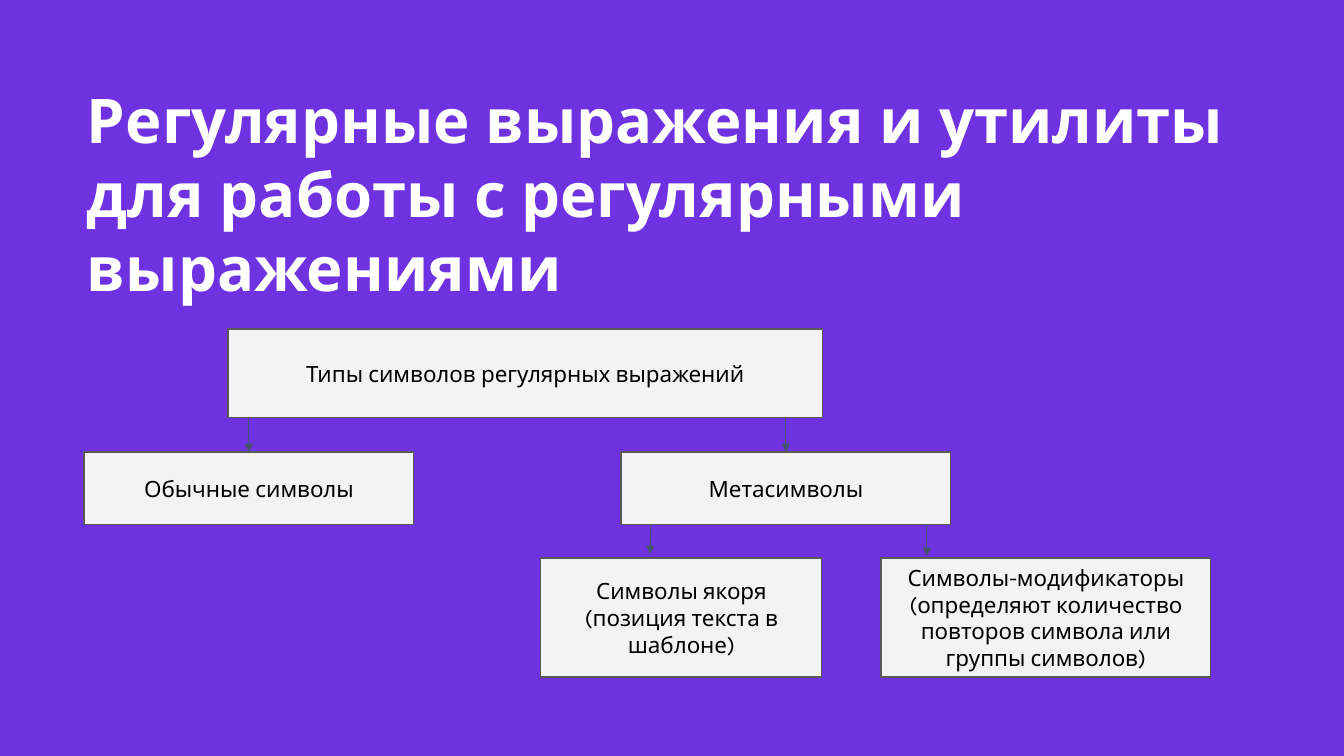
from lxml.etree import SubElement
from pptx import Presentation
from pptx.dml.color import RGBColor
from pptx.enum.shapes import MSO_CONNECTOR, MSO_SHAPE
from pptx.enum.text import MSO_ANCHOR, MSO_AUTO_SIZE, PP_ALIGN
from pptx.oxml.ns import qn
from pptx.util import Pt

PX = 914400 / 100.8


def px(*lengths):
    """Turn lengths in px into EMU."""
    return [round(n * PX) for n in lengths]


def write(sp, text, size, color, bold=False, align=PP_ALIGN.LEFT,
          anchor=MSO_ANCHOR.TOP, pad=5):
    tf = sp.text_frame
    tf.word_wrap = True
    tf.auto_size = MSO_AUTO_SIZE.NONE
    tf.vertical_anchor = anchor
    tf.margin_left, tf.margin_right, tf.margin_top, tf.margin_bottom = px(10, 10, pad, pad)
    p = tf.paragraphs[0]
    p.alignment = align
    r = p.add_run()
    r.text = text
    r.font.name = "Karla"
    r.font.size = Pt(size)
    r.font.bold = bold
    r.font.color.rgb = RGBColor.from_string(color)


prs = Presentation()
prs.slide_width, prs.slide_height = px(1344, 756)
slide = prs.slides.add_slide(prs.slide_layouts[5])
slide.background.fill.solid()
slide.background.fill.fore_color.rgb = RGBColor.from_string("6E32E0")

title = slide.shapes.title
title.left, title.top, title.width, title.height = px(77, 77, 1191, 106)
write(title, "Регулярные выражения и утилиты для работы с регулярными выражениями",
      44, "FFFFFF", bold=True)

boxes = [
    ("Типы символов регулярных выражений", 228, 329, 595, 89),
    ("Обычные символы", 84, 452, 330, 73),
    ("Метасимволы", 621, 452, 330, 73),
    ("Символы якоря (позиция текста в шаблоне)", 541, 558, 281, 119),
    ("Символы-модификаторы (определяют количество повторов символа или группы символов)",
     881, 558, 330, 119),
]
nodes = {}
for text, *place in boxes:
    sp = slide.shapes.add_shape(MSO_SHAPE.RECTANGLE, *px(*place))
    sp.shadow.inherit = False
    sp.fill.solid()
    sp.fill.fore_color.rgb = RGBColor.from_string("F3F3F3")
    sp.line.color.rgb = RGBColor.from_string("595959")
    sp.line.width = Pt(0.75)
    write(sp, text, 16, "000000", align=PP_ALIGN.CENTER, anchor=MSO_ANCHOR.MIDDLE, pad=10)
    nodes[text] = sp

# Start and end points, and the box whose top middle the arrow joins
arrows = [
    (249, 418, 249, 452, "Обычные символы"),
    (786, 418, 786, 452, "Метасимволы"),
    (651, 525, 650, 554, None),
    (927, 525, 927, 556, None),
]
for *ends, target in arrows:
    arrow = slide.shapes.add_connector(MSO_CONNECTOR.STRAIGHT, *px(*ends))
    if target:
        arrow.end_connect(nodes[target], 0)
    arrow.line.color.rgb = RGBColor.from_string("44546A")
    arrow.line.width = Pt(0.75)
    SubElement(arrow.line._get_or_add_ln(), qn("a:tailEnd"), type="triangle")
    SubElement(arrow._element.spPr, qn("a:effectLst"))

prs.save("out.pptx")
